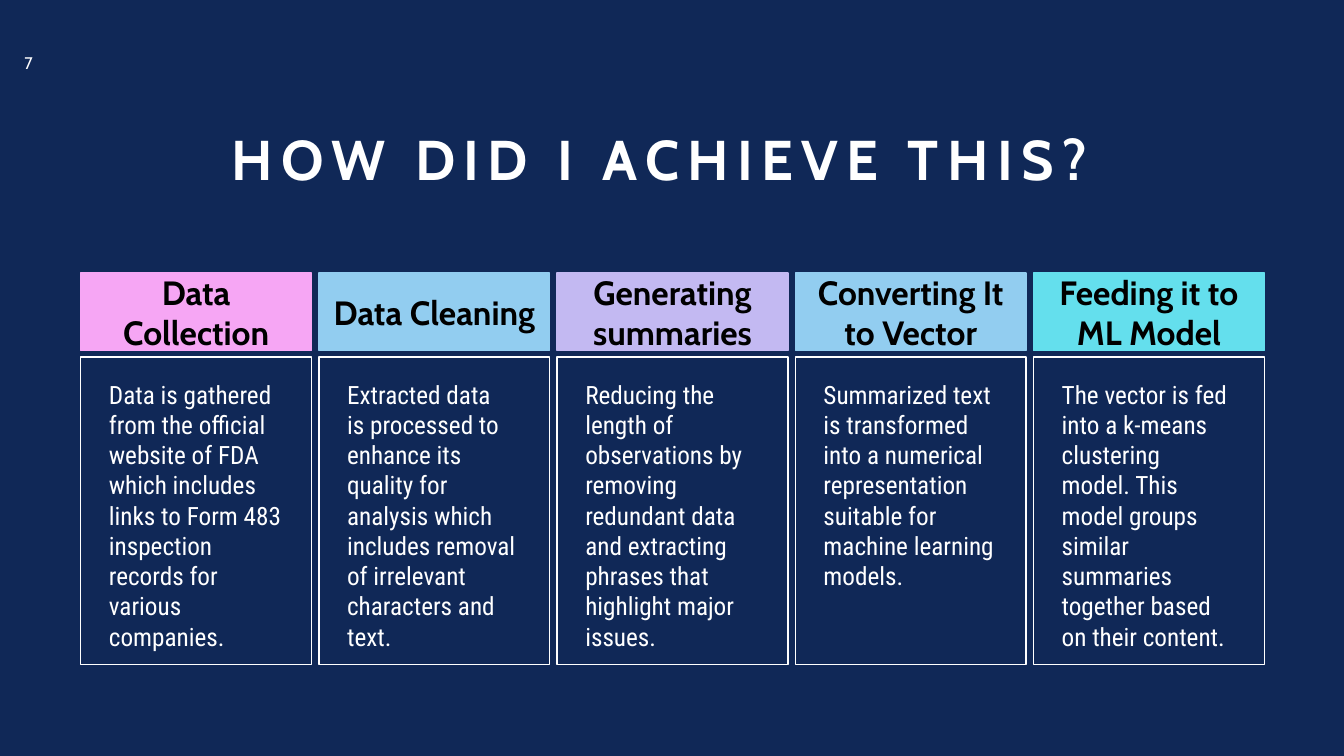
from dataclasses import dataclass

from pptx import Presentation
from pptx.dml.color import RGBColor
from pptx.enum.shapes import MSO_SHAPE
from pptx.enum.text import MSO_ANCHOR, PP_ALIGN
from pptx.util import Inches, Pt

RECTANGLE = MSO_SHAPE.RECTANGLE
TOP, MIDDLE, BOTTOM = MSO_ANCHOR.TOP, MSO_ANCHOR.MIDDLE, MSO_ANCHOR.BOTTOM
LEFT, CENTER = PP_ALIGN.LEFT, PP_ALIGN.CENTER


@dataclass(frozen=True)
class Theme:
    navy: str = "102857"
    white: str = "FFFFFF"
    black: str = "000000"
    pink: str = "F6A6F4"
    blue: str = "92CDF0"
    lilac: str = "C3B9F2"
    cyan: str = "64DFED"
    heading_font: str = "Cabin"
    body_font: str = "Roboto Condensed"
    title_size: int = 40
    header_size: int = 24
    body_size: int = 18
    number_size: int = 12


theme = Theme()


def write(shape, text, font_name, size, color, bold=False, align=CENTER,
          anchor=MIDDLE, insets=(0.1, 0.05, 0.1, 0.05)):
    frame = shape.text_frame
    frame.word_wrap = True
    frame.vertical_anchor = anchor
    frame.margin_left, frame.margin_top, frame.margin_right, frame.margin_bottom = map(Inches, insets)
    frame.text = text
    paragraph = frame.paragraphs[0]
    paragraph.alignment = align
    for run in paragraph.runs:
        run.font.name = font_name
        run.font.size = Pt(size)
        run.font.bold = bold
        run.font.color.rgb = RGBColor.from_string(color)
    return paragraph


def add_box(left, top, width, height, line_color, fill_color=None):
    shape = slide.shapes.add_shape(RECTANGLE, Inches(left), Inches(top), Inches(width), Inches(height))
    shape.shadow.inherit = False
    shape.line.color.rgb = RGBColor.from_string(line_color)
    shape.line.width = Pt(1)
    if fill_color:
        shape.fill.solid()
        shape.fill.fore_color.rgb = RGBColor.from_string(fill_color)
    else:
        shape.fill.background()
    return shape


presentation = Presentation()
presentation.slide_width = Inches(13.33)
presentation.slide_height = Inches(7.5)
slide = presentation.slides.add_slide(presentation.slide_layouts[6])
slide.background.fill.solid()
slide.background.fill.fore_color.rgb = RGBColor.from_string(theme.navy)

# Title
title = slide.shapes.add_textbox(Inches(1.69), Inches(1.19), Inches(9.71), Inches(0.77))
title_paragraph = write(title, "HOW DID I ACHIEVE THIS?", theme.heading_font,
                        theme.title_size, theme.white, bold=True, anchor=BOTTOM)
title_paragraph.line_spacing = 0.9
title_paragraph.runs[0].font._element.set("spc", "600")

# Process steps: header above, description below
steps = [
    ("Data Collection", theme.pink,
     "Data is gathered from the official website of FDA which includes links to "
     "Form 483 inspection records for various companies."),
    ("Data Cleaning", theme.blue,
     "Extracted data\vis processed to enhance its quality for analysis which "
     "includes removal of irrelevant characters and text."),
    ("Generating summaries", theme.lilac,
     "Reducing the length of observations by removing redundant data and "
     "extracting phrases that highlight major issues."),
    ("Converting It to Vector", theme.blue,
     "Summarized text is transformed into a numerical representation suitable "
     "for machine learning models."),
    ("Feeding it to ML Model", theme.cyan,
     "The vector is fed into a k-means clustering model. This model groups "
     "similar summaries together based on their content."),
]
first_left, last_left, column_width = 0.8, 10.25, 2.29
pitch = (last_left - first_left) / (len(steps) - 1)

for index, (heading, color, description) in enumerate(steps):
    left = first_left + index * pitch
    header = add_box(left, 2.71, column_width, 0.77, color, color)
    write(header, heading, theme.heading_font, theme.header_size, theme.black, bold=True)
    body = add_box(left, 3.54, column_width, 3.05, theme.white)
    write(body, description, theme.body_font, theme.body_size, theme.white,
          align=LEFT, anchor=TOP, insets=(0.28, 0.22, 0.3, 0.05))

# Slide number
number = slide.shapes.add_textbox(Inches(0), Inches(0.45), Inches(0.57), Inches(0.34))
write(number, "7", theme.heading_font, theme.number_size, theme.white)

presentation.save("out.pptx")
